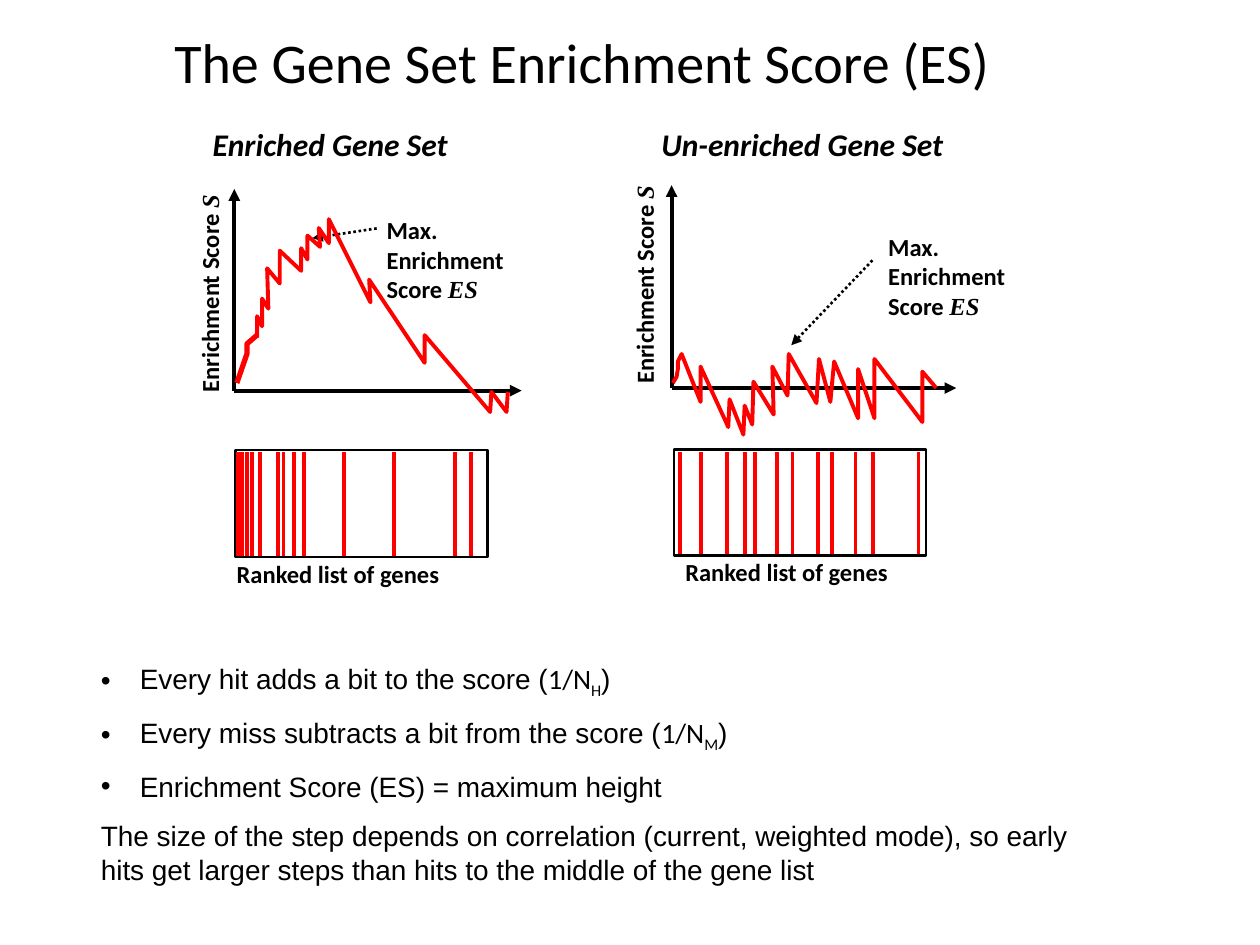
from dataclasses import dataclass

from lxml import etree
from pptx import Presentation, util as u
from pptx.dml.color import RGBColor
from pptx.enum import dml, shapes, text
from pptx.oxml.ns import qn

CELL = u.Inches(0.01)
COLUMNS, ROWS = 1000, 750


@dataclass(frozen=True)
class Theme:
    """Colours, fonts, type sizes and line widths of the slide."""
    ink: RGBColor = RGBColor(0, 0, 0)
    paper: RGBColor = RGBColor(255, 255, 255)
    signal: RGBColor = RGBColor(255, 0, 0)
    sans: str = "Calibri"
    serif: str = "Times New Roman"
    plain: str = "Arial"
    title: int = 32
    heading: int = 18
    body: int = 16
    label: int = 14
    thin: float = 1.5
    medium: float = 2.25
    thick: float = 3


THEME = Theme()
PLAIN = {"name": THEME.plain, "size": u.Pt(THEME.body)}
SANS = {**PLAIN, "name": THEME.sans}
LABEL = {"name": THEME.sans, "size": u.Pt(THEME.label), "bold": True}
SYMBOL = {**LABEL, "name": THEME.serif, "italic": True}
HEADING = {**LABEL, "size": u.Pt(THEME.heading), "italic": True}

ENRICHED = {
    "box": (186, 150, 228, 160),
    "label": (-20, 94),
    "callout": (111, 144, 136),
    "arrow": ((62, 121), (115, 129)),
    "caption": -8,
    "strip": (1, 85),
    "hits": [2, 3, 5, 9, 13, 19, 34, 38, 46, 54, 86, 126, 174, 187],
    "rise": [(2, 6), (10, 29), (10, 37), (18, 44)],
    "curve": [(18, 42), (18, 59), (22, 51), (22, 73), (27, 65), (26, 97), (36, 85), (36, 111),
              (53, 95), (53, 113), (58, 104), (58, 123), (68, 114), (67, 129), (75, 117),
              (75, 136), (108, 70), (107, 88), (151, 22), (151, 44), (203, -17), (204, -1),
              (216, -17), (217, -1)],
}
UNENRICHED = {
    "box": (533, 147, 226, 161),
    "label": (-22, 99),
    "callout": (162, 129, 138),
    "arrow": ((95, 34), (160, 102)),
    "caption": 1,
    "strip": (2, 84),
    "hits": [5, 21, 42, 56, 64, 82, 94, 114, 125, 144, 158, 194],
    "rise": [],
    "curve": [(1, 4), (4, 9), (5, 15), (5, 21), (8, 27), (23, -11), (23, 17), (45, -31),
              (46, -9), (57, -37), (58, -14), (64, -29), (65, 5), (81, -21), (80, 17),
              (92, -6), (93, 27), (115, -12), (117, 23), (126, -11), (129, 21), (148, -24),
              (148, 15), (161, -24), (161, 23), (199, -27), (199, 13), (210, 0)],
}
NOTES = [
    [("Every hit adds a bit to the score (", PLAIN, 0), ("1/N", SANS, 0), ("H", SANS, -25000), (")", PLAIN, 0)],
    [("Every miss subtracts a bit from the score (", PLAIN, 0), ("1/N", SANS, 0), ("M", SANS, -25000),
     (")", PLAIN, 0)],
    [("Enrichment Score (ES) = maximum height", PLAIN, 0)],
    [("The size of the step depends on correlation (current, weighted mode), so early hits get larger "
      "steps than hits to the middle of the gene list", PLAIN, 0)],
]


def apply(target, values):
    """Set each attribute of the target from a dict."""
    for name, value in values.items():
        setattr(target, name, value)


def place(shape, box):
    """Put a shape on the grid box."""
    apply(shape, dict(zip(("left", "top", "width", "height"), (CELL * part for part in box))))


def add_spans(para, spans):
    """Fill a paragraph with formatted spans of text."""
    for words, values, baseline in spans:
        span = para.add_run()
        span.text = words
        apply(span.font, values)
        span.font.color.rgb = THEME.ink
        if baseline:
            span.font._element.set("baseline", str(baseline))


def add_label(page, box, spans, rotation=0):
    """Add a wrapped text box and return its paragraph."""
    label = page.shapes.add_textbox(*(CELL * part for part in box))
    label.rotation = rotation
    label.text_frame.word_wrap = True
    para = label.text_frame.paragraphs[0]
    add_spans(para, [(words, values, 0) for words, values in spans])
    return para


def add_line(parent, start, end, color, width, arrow=None, dash=None):
    """Draw a straight line, with an arrowhead if one is named."""
    line = parent.shapes.add_connector(shapes.MSO_CONNECTOR.STRAIGHT,
                                       *(CELL * part for part in (*start, *end)))
    line.line.color.rgb = color
    line.line.width = u.Pt(width)
    if dash:
        line.line.dash_style = dash
    properties = line._element.spPr
    if arrow:
        etree.SubElement(properties.find(qn("a:ln")), qn(arrow), type="triangle")
    etree.SubElement(properties, qn("a:effectLst"))


def add_curve(page, points, width):
    """Draw an open red outline through the points."""
    builder = page.shapes.build_freeform(*points[0], scale=CELL)
    builder.add_line_segments(points[1:], close=False)
    curve = builder.convert_to_shape()
    curve.shadow.inherit = False
    curve.fill.background()
    curve.line.color.rgb = THEME.signal
    curve.line.width = u.Pt(width)


def add_strip(page, box, hits):
    """Draw the ranked gene strip with a red mark at each hit."""
    left, top, width, height = box
    group = page.shapes.add_group_shape()
    frame = group.shapes.add_shape(shapes.MSO_SHAPE.RECTANGLE, *(CELL * part for part in box))
    frame.shadow.inherit = False
    frame.fill.solid()
    frame.fill.fore_color.rgb = THEME.paper
    frame.line.color.rgb = THEME.ink
    frame.line.width = u.Pt(THEME.thin)
    for hit in hits:
        add_line(group, (left + hit, top + 2), (left + hit, top + height - 1), THEME.signal, THEME.medium)


def add_panel(page, box, data):
    """Draw one score plot in the box, with its gene strip below."""
    left, top, width, height = box
    base = top + height

    def at(point):
        """Turn a plot point into a grid point."""
        return left + point[0], base - point[1]

    shift, tall = data["strip"]
    add_strip(page, (left + shift, 357, 200, tall), data["hits"])
    for end in ((width, 0), (0, height)):
        add_line(page, at((0, 0)), at(end), THEME.ink, THEME.medium, "a:tailEnd")
    x, y = at(data["label"])
    add_label(page, (x - 105.5, y - 16.5, 211, 33), [("Enrichment Score ", LABEL), ("S", SYMBOL)], 270)
    x, y, span = data["callout"]
    add_label(page, (*at((x, y)), span, 80), [("Max. Enrichment Score ", LABEL), ("ES", SYMBOL)])
    add_line(page, *map(at, data["arrow"]), THEME.ink, THEME.thin, "a:headEnd", dml.MSO_LINE.ROUND_DOT)
    add_label(page, (left + data["caption"], base + 129, 239, 33), [("Ranked list of genes", LABEL)])
    for points, weight in ((data["rise"], THEME.thick), (data["curve"], THEME.medium)):
        if points:
            add_curve(page, [at(point) for point in points], weight)


def add_title(page, box):
    """Place the slide title."""
    title = page.shapes.title
    place(title, box)
    apply(title.text_frame, {"vertical_anchor": text.MSO_ANCHOR.MIDDLE, "auto_size": text.MSO_AUTO_SIZE.NONE})
    para = title.text_frame.paragraphs[0]
    para.alignment = text.PP_ALIGN.CENTER
    add_spans(para, [("The Gene Set Enrichment Score (ES) ", {**SANS, "size": u.Pt(THEME.title)}, 0)])


def add_headings(page, box):
    """Name both panels on one line with tab stops."""
    para = add_label(page, box, [("\tEnriched Gene Set\tUn-enriched Gene Set", HEADING)])
    stops = etree.SubElement(para._p.get_or_add_pPr(), qn("a:tabLst"))
    for stop in (67, 423):
        etree.SubElement(stops, qn("a:tab"), pos=str(CELL * stop), algn="l")


def add_notes(page, box):
    """Place the bulleted rules and the closing remark."""
    body = page.placeholders[1]
    place(body, box)
    frame = body.text_frame
    frame.auto_size = text.MSO_AUTO_SIZE.NONE
    for index, spans in enumerate(NOTES):
        para = frame.add_paragraph() if index else frame.paragraphs[0]
        bulleted = index < len(NOTES) - 1
        indent = CELL * 31 if bulleted else 0
        properties = para._p.get_or_add_pPr()
        properties.set("marL", str(indent))
        properties.set("indent", str(-indent))
        if bulleted:
            etree.SubElement(properties, qn("a:buChar"), char="•")
        else:
            etree.SubElement(properties, qn("a:buNone"))
        para.space_before = u.Pt(9 if index else 0)
        add_spans(para, spans)


def main():
    """Build and save the slide."""
    deck = Presentation()
    deck.slide_width, deck.slide_height = CELL * COLUMNS, CELL * ROWS
    page = deck.slides.add_slide(deck.slide_layouts[1])
    add_title(page, (17, 17, 900, 63))
    add_notes(page, (70, 520, 824, 185))
    add_headings(page, (92, 94, 767, 40))
    for data in (UNENRICHED, ENRICHED):
        add_panel(page, data["box"], data)
    deck.save("out.pptx")


if __name__ == "__main__":
    main()
